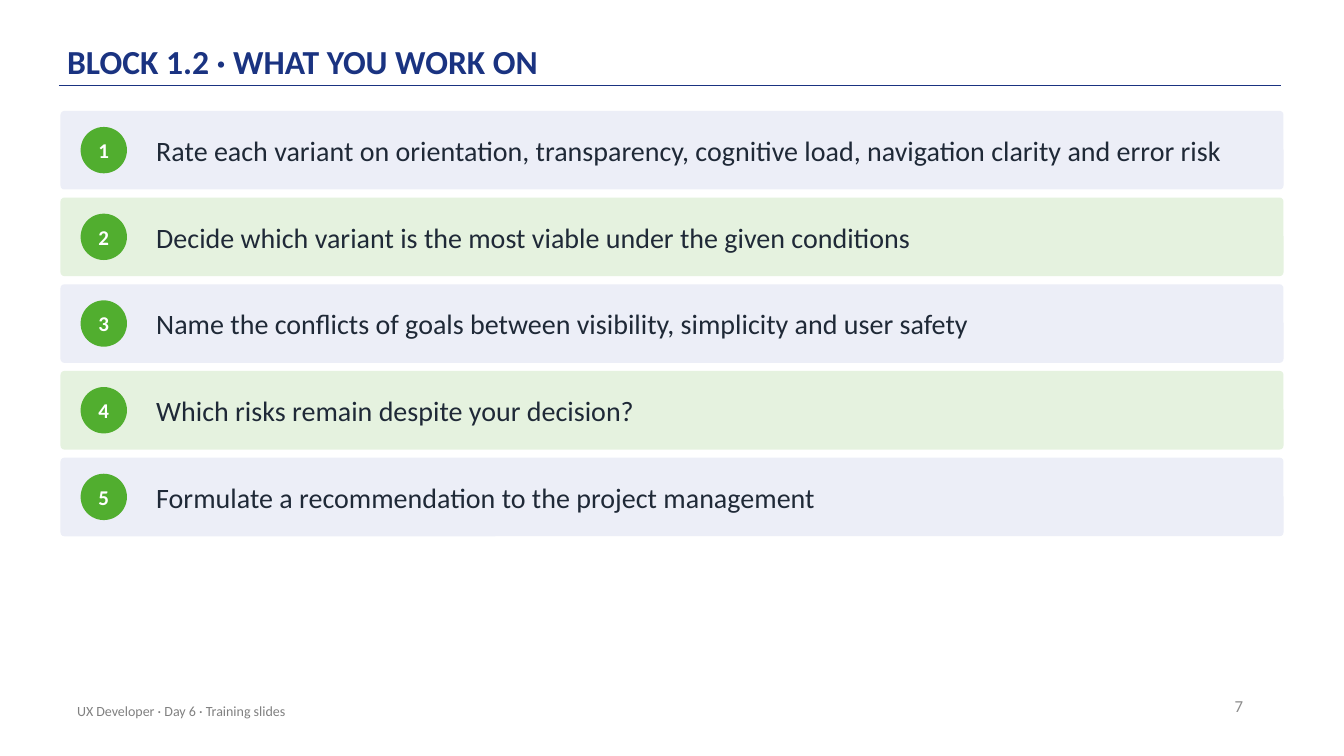
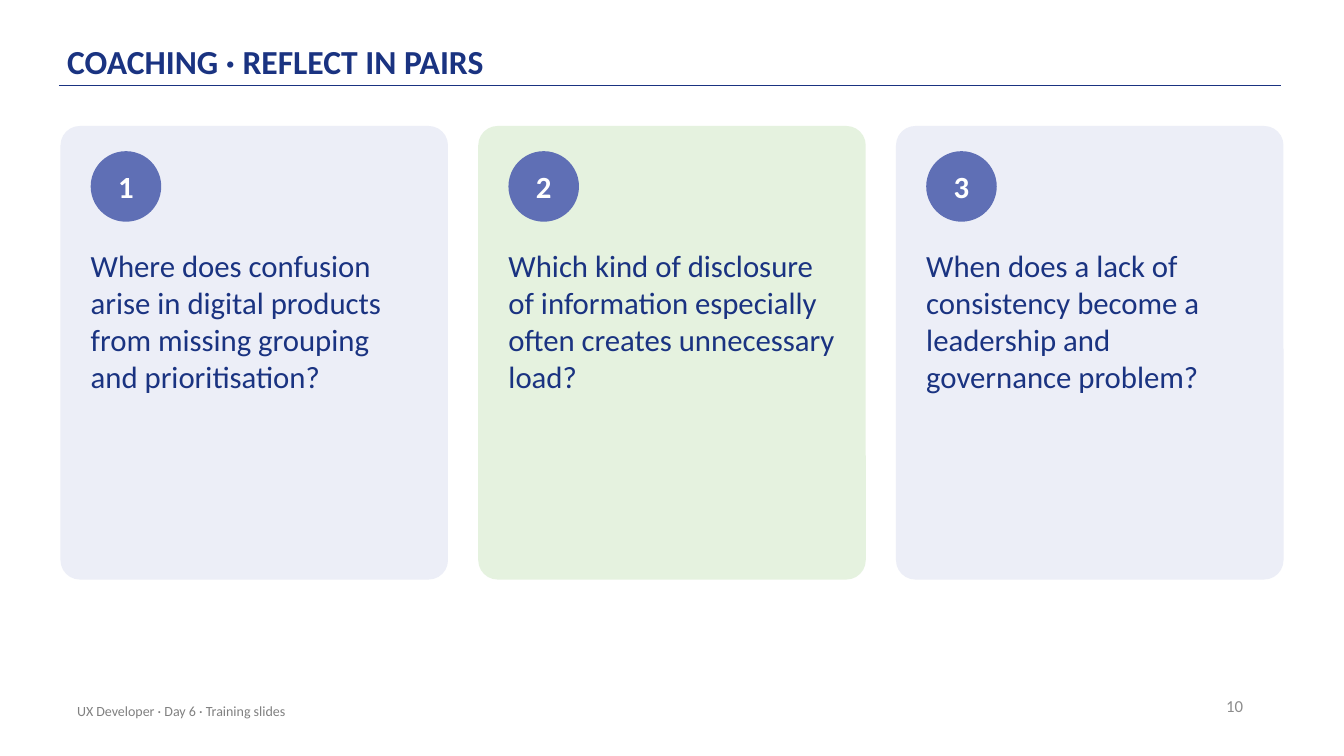
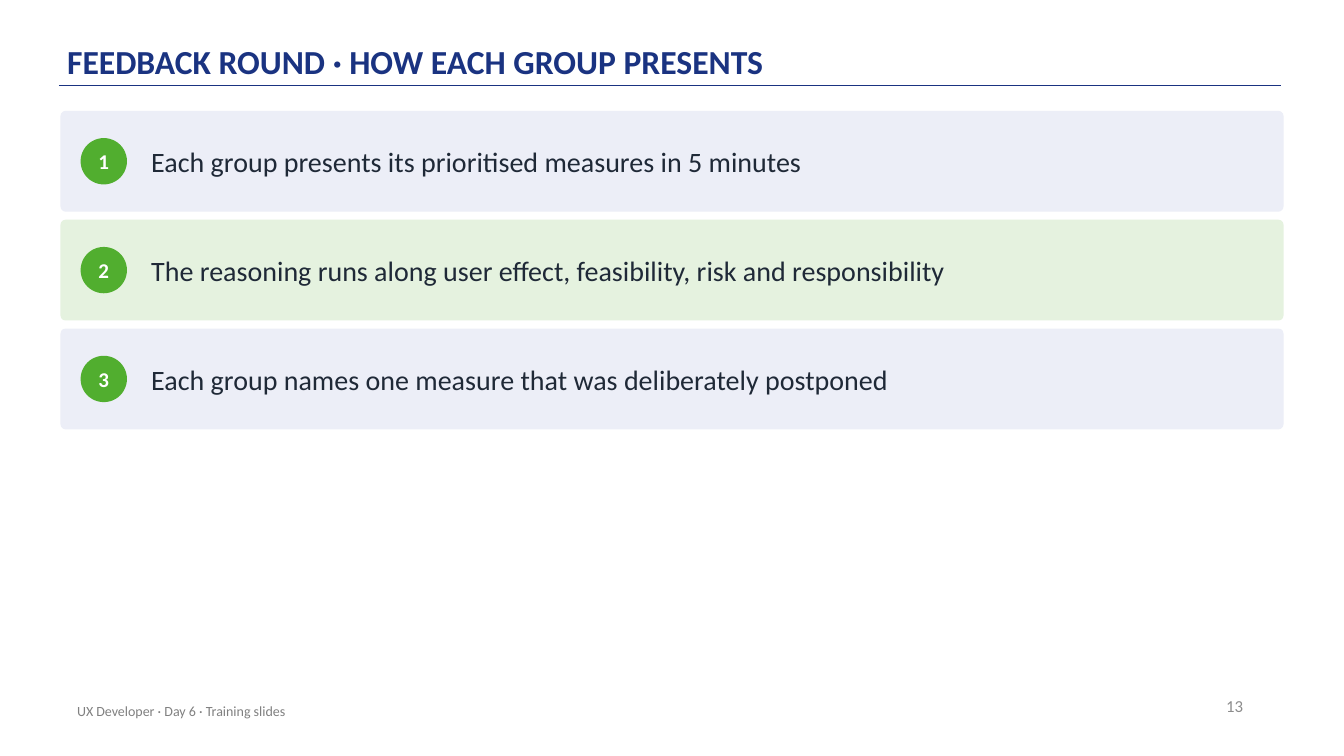
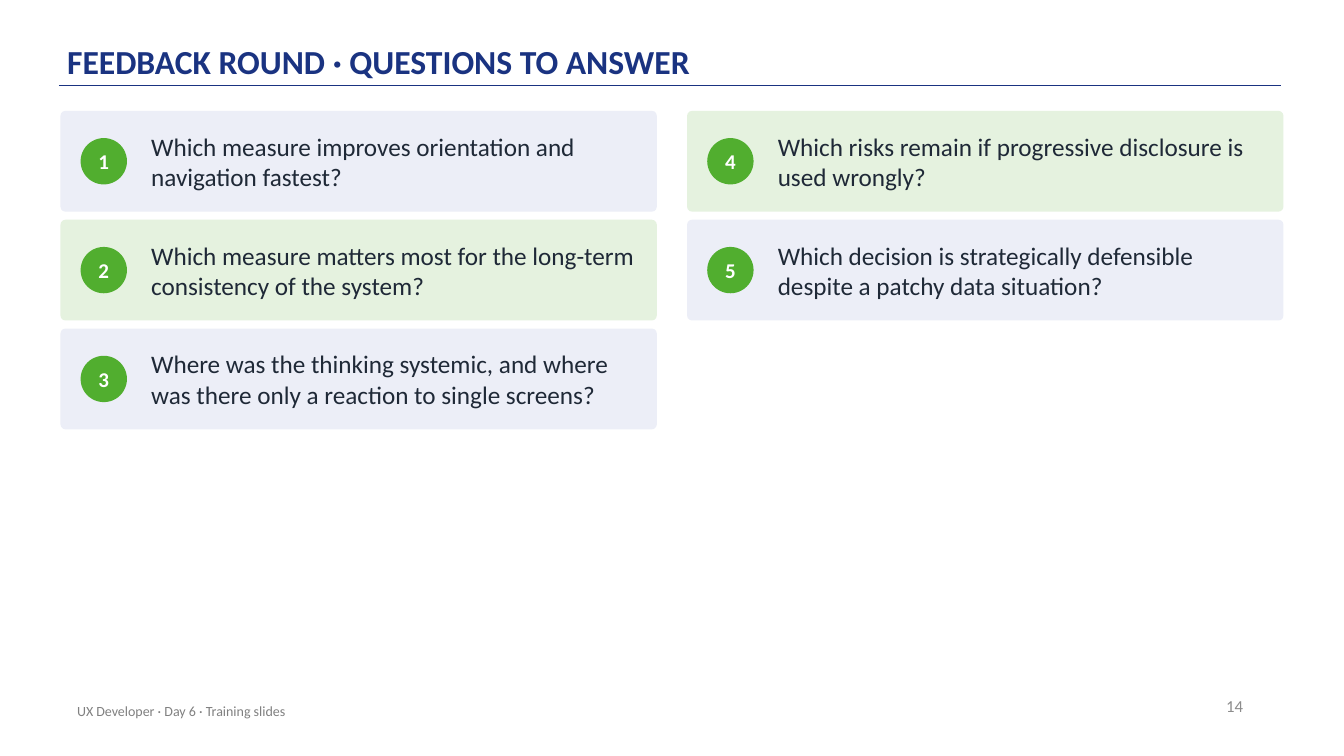
from lxml.etree import SubElement
from pptx import Presentation
from pptx.dml.color import RGBColor
from pptx.enum.shapes import MSO_CONNECTOR, MSO_SHAPE
from pptx.enum.text import MSO_ANCHOR, PP_ALIGN
from pptx.oxml.ns import qn
from pptx.util import Pt

FONT = "Calibri"
NAVY, INK, WHITE = "1A3381", "1F2937", "FFFFFF"
GREEN, INDIGO = "51AE2F", "5F6FB5"
PANEL_FILLS = ["ECEEF7", "E5F2DF"]
FOOTER_GREY, NUMBER_GREY = "808080", "8C8C8C"
SLIDE_WIDTH, SLIDE_HEIGHT = 960, 540
MARGIN, COLUMN_GAP, ROW_GAP = 43.2, 21.6, 5.76


def rgb(hex_color):
    return RGBColor.from_string(hex_color)


def write(shape, text, size, color, bold=False, align=PP_ALIGN.LEFT,
          anchor=MSO_ANCHOR.MIDDLE, insets=(0, 0)):
    frame = shape.text_frame
    frame.word_wrap = True
    frame.vertical_anchor = anchor
    frame.margin_left = frame.margin_right = Pt(insets[0])
    frame.margin_top = frame.margin_bottom = Pt(insets[1])
    frame.text = text
    paragraph = frame.paragraphs[0]
    paragraph.alignment = align
    font = paragraph.runs[0].font
    font.name, font.size, font.bold = FONT, Pt(size), bold
    font.color.rgb = rgb(color)
    return paragraph


wide_rows = dict(top=79.2, height=56.16, badge=33.12, badge_left=14.4, badge_top=11.52,
                 badge_fill=GREEN, badge_size=15, text_left=68.4, text_top=0,
                 text_right=18, text_height=56.16, size=20, color=INK,
                 anchor=MSO_ANCHOR.MIDDLE)
tall_rows = dict(wide_rows, height=72, badge_top=19.44, text_left=64.8,
                 text_right=14.4, text_height=72)
column_rows = dict(tall_rows, size=18)
cards = dict(top=90, height=324, badge=50.4, badge_left=21.6, badge_top=18,
             badge_fill=INDIGO, badge_size=22, text_left=21.6, text_top=86.4,
             text_right=21.6, text_height=223.2, size=22, color=NAVY,
             anchor=MSO_ANCHOR.TOP)

pages = [
    (7, "BLOCK 1.2 · WHAT YOU WORK ON", wide_rows, [[
        "Rate each variant on orientation, transparency, cognitive load, navigation clarity and error risk",
        "Decide which variant is the most viable under the given conditions",
        "Name the conflicts of goals between visibility, simplicity and user safety",
        "Which risks remain despite your decision?",
        "Formulate a recommendation to the project management",
    ]]),
    (10, "COACHING · REFLECT IN PAIRS", cards, [
        ["Where does confusion arise in digital products from missing grouping and prioritisation?"],
        ["Which kind of disclosure of information especially often creates unnecessary load?"],
        ["When does a lack of consistency become a leadership and governance problem?"],
    ]),
    (13, "FEEDBACK ROUND · HOW EACH GROUP PRESENTS", tall_rows, [[
        "Each group presents its prioritised measures in 5 minutes",
        "The reasoning runs along user effect, feasibility, risk and responsibility",
        "Each group names one measure that was deliberately postponed",
    ]]),
    (14, "FEEDBACK ROUND · QUESTIONS TO ANSWER", column_rows, [
        ["Which measure improves orientation and navigation fastest?",
         "Which measure matters most for the long-term consistency of the system?",
         "Where was the thinking systemic, and where was there only a reaction to single screens?"],
        ["Which risks remain if progressive disclosure is used wrongly?",
         "Which decision is strategically defensible despite a patchy data situation?"],
    ]),
]

prs = Presentation()
prs.slide_width, prs.slide_height = Pt(SLIDE_WIDTH), Pt(SLIDE_HEIGHT)

for page_number, title, look, columns in pages:
    slide = prs.slides.add_slide(prs.slide_layouts[6])
    shapes = slide.shapes

    title_rule = shapes.add_connector(MSO_CONNECTOR.STRAIGHT, Pt(42), Pt(61.2), Pt(915), Pt(61.2))
    title_rule.line.color.rgb = rgb(NAVY)
    title_rule.line.width = Pt(1)
    SubElement(title_rule._element.spPr, qn("a:effectLst"))

    heading = shapes.add_textbox(Pt(48), Pt(8.64), Pt(792), Pt(51.84))
    write(heading, title, 24, NAVY, bold=True, anchor=MSO_ANCHOR.BOTTOM,
          insets=(0, 2.16)).line_spacing = 0.9
    number = shapes.add_textbox(Pt(679), Pt(489.6), Pt(216), Pt(28.8))
    write(number, str(page_number), 12, NUMBER_GREY, align=PP_ALIGN.RIGHT, insets=(7.2, 3.6))
    footer = shapes.add_textbox(Pt(48), Pt(493.2), Pt(482.4), Pt(28.8))
    write(footer, "UX Developer · Day 6 · Training slides", 10, FOOTER_GREY, insets=(7.2, 3.6))

    content_width = SLIDE_WIDTH - 2 * MARGIN
    width = (content_width - COLUMN_GAP * (len(columns) - 1)) / len(columns)
    count = 0
    for column_index, statements in enumerate(columns):
        left = MARGIN + column_index * (width + COLUMN_GAP)
        for row_index, statement in enumerate(statements):
            top = look["top"] + row_index * (look["height"] + ROW_GAP)
            panel = shapes.add_shape(MSO_SHAPE.ROUNDED_RECTANGLE, Pt(left), Pt(top),
                                     Pt(width), Pt(look["height"]))
            panel.adjustments[0] = 0.05
            badge = shapes.add_shape(MSO_SHAPE.OVAL, Pt(left + look["badge_left"]),
                                     Pt(top + look["badge_top"]),
                                     Pt(look["badge"]), Pt(look["badge"]))
            for shape, fill in ((panel, PANEL_FILLS[count % 2]), (badge, look["badge_fill"])):
                shape.shadow.inherit = False
                shape.fill.solid()
                shape.fill.fore_color.rgb = rgb(fill)
                shape.line.fill.background()
            count += 1
            write(badge, str(count), look["badge_size"], WHITE, bold=True, align=PP_ALIGN.CENTER)
            body = shapes.add_textbox(Pt(left + look["text_left"]), Pt(top + look["text_top"]),
                                      Pt(width - look["text_left"] - look["text_right"]),
                                      Pt(look["text_height"]))
            write(body, statement, look["size"], look["color"], anchor=look["anchor"])

prs.save("out.pptx")
